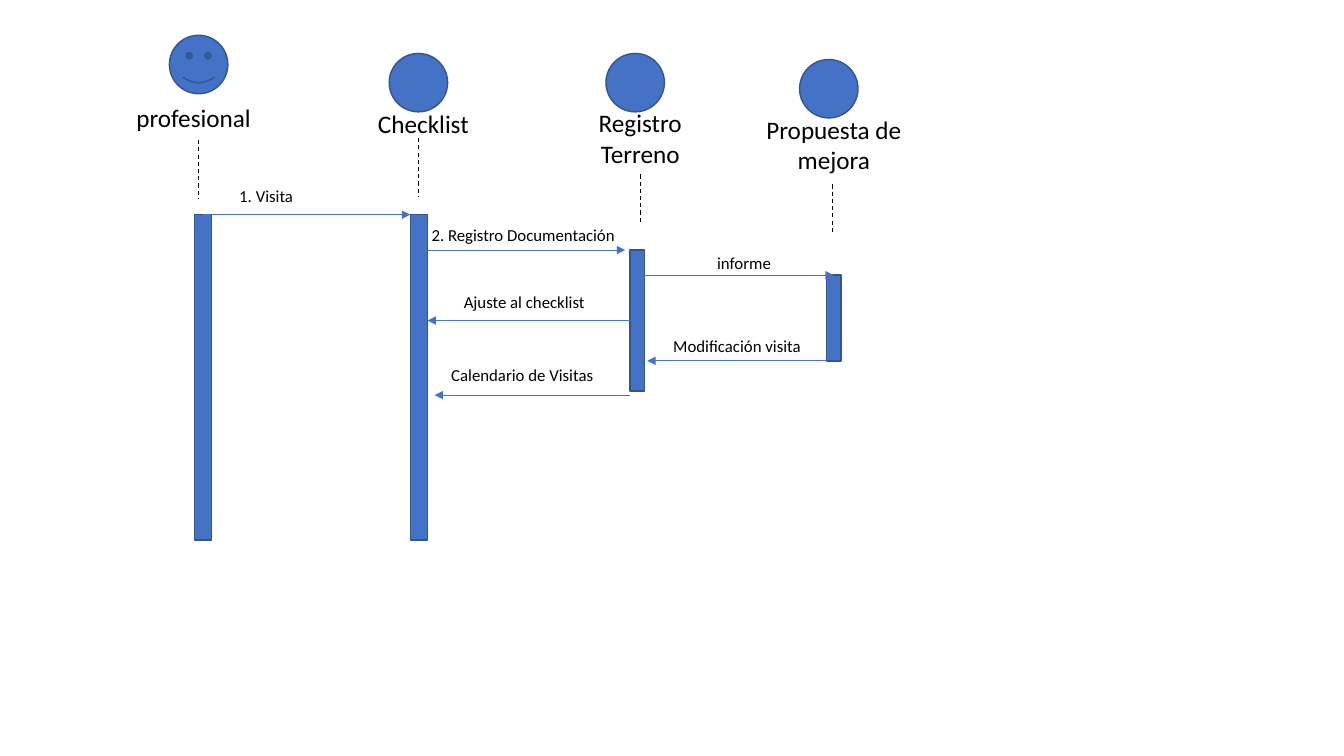
import pptx
import pptx.util
import pptx.dml.color
import pptx.enum.dml
import pptx.enum.shapes
import pptx.enum.text
import pptx.oxml.ns
from dataclasses import dataclass
from lxml import etree

Inches = pptx.util.Inches
SHAPE = pptx.enum.shapes.MSO_SHAPE
TOP, LEFT = 0, 1  # connection sites of a rectangle


@dataclass(frozen=True)
class Theme:
    font: str = "Calibri"
    fill: str = "4472C4"
    outline: str = "325491"
    ink: str = "000000"
    name_size: float = 18
    message_size: float = 12
    outline_width: float = 1
    lifeline_width: float = 0.75
    message_width: float = 0.5


class SequenceDiagram:
    def __init__(self, slide, theme):
        self.shapes = slide.shapes
        self.theme = theme

    def color(self, value):
        return pptx.dml.color.RGBColor.from_string(value)

    def figure(self, kind, left, top, width, height):
        figure = self.shapes.add_shape(kind, *map(Inches, (left, top, width, height)))
        figure.shadow.inherit = False
        figure.fill.solid()
        figure.fill.fore_color.rgb = self.color(self.theme.fill)
        figure.line.color.rgb = self.color(self.theme.outline)
        figure.line.width = pptx.util.Pt(self.theme.outline_width)
        return figure

    def label(self, text, left, top, width, height, size):
        box = self.shapes.add_textbox(*map(Inches, (left, top, width, height)))
        frame = box.text_frame
        frame.word_wrap = True
        frame.auto_size = pptx.enum.text.MSO_AUTO_SIZE.SHAPE_TO_FIT_TEXT
        paragraph = frame.paragraphs[0]
        paragraph.alignment = pptx.enum.text.PP_ALIGN.CENTER
        run = paragraph.add_run()
        run.text = text
        run.font.name = self.theme.font
        run.font.size = pptx.util.Pt(size)
        run.font.color.rgb = self.color(self.theme.ink)

    def line(self, start, end, color, width):
        line = self.shapes.add_connector(
            pptx.enum.shapes.MSO_CONNECTOR.STRAIGHT, *map(Inches, (*start, *end)))
        line.line.color.rgb = self.color(color)
        line.line.width = pptx.util.Pt(width)
        etree.SubElement(line._element.spPr, pptx.oxml.ns.qn("a:effectLst"))
        return line

    def lifeline(self, x, top, bottom):
        line = self.line((x, top), (x, bottom), self.theme.ink, self.theme.lifeline_width)
        line.line.dash_style = pptx.enum.dml.MSO_LINE.DASH

    def message(self, start_x, end_x, y, source=None, target=None):
        arrow = self.line((start_x, y), (end_x, y), self.theme.fill, self.theme.message_width)
        etree.SubElement(arrow.line._get_or_add_ln(),
                         pptx.oxml.ns.qn("a:tailEnd"), type="triangle")
        if source:
            arrow.begin_connect(*source)
        if target:
            arrow.end_connect(*target)


def main():
    deck = pptx.Presentation()
    deck.slide_width, deck.slide_height = Inches(13.33), Inches(7.5)
    theme = Theme()
    diagram = SequenceDiagram(deck.slides.add_slide(deck.slide_layouts[6]), theme)

    # Activation bars
    bar_places = {
        "profesional": (1.93, 2.13, 0.17, 3.23),
        "checklist": (4.07, 2.13, 0.17, 3.23),
        "registro": (6.25, 2.48, 0.14, 1.4),
        "propuesta": (8.2, 2.73, 0.14, 0.85),
    }
    bars = {who: diagram.figure(SHAPE.RECTANGLE, *place)
            for who, place in bar_places.items()}

    # Participants: head, name, dashed lifeline
    head_size, name_width = 0.58, 1.58
    participants = [
        ("profesional", SHAPE.SMILEY_FACE, (1.68, 0.35), (1.13, 0.97), 0.4, (1.97, 1.39, 1.97)),
        ("Checklist", SHAPE.OVAL, (3.86, 0.53), (3.41, 1.03), 0.4, (4.15, 1.37, 1.95)),
        ("Registro Terreno", SHAPE.OVAL, (6.01, 0.53), (5.56, 1.02), 0.71, (6.35, 1.73, 2.22)),
        ("Propuesta de mejora", SHAPE.OVAL, (7.93, 0.59), (7.48, 1.08), 0.71, (8.26, 1.83, 2.32)),
    ]
    for name, head, head_at, name_at, name_height, lifeline in participants:
        diagram.lifeline(*lifeline)
        diagram.figure(head, *head_at, head_size, head_size)
        diagram.label(name, *name_at, name_width, name_height, theme.name_size)

    # Messages: text, label left, top and width, arrow from x to x at y, joined bars
    messages = [
        ("1. Visita", (1.85, 1.79, 1.58), (2.01, 4.07, 2.13), (bars["profesional"], TOP), None),
        ("2. Registro Documentación", (3.99, 2.18, 2.4), (4.2, 6.2, 2.48), None, None),
        ("informe", (6.18, 2.46, 2.4), (6.33, 8.27, 2.73), None, (bars["propuesta"], TOP)),
        ("Modificación visita", (6.42, 3.28, 1.78), (8.2, 6.42, 3.58), None, None),
        ("Ajuste al checklist", (4.31, 2.85, 1.78), (6.25, 4.24, 3.18), (bars["registro"], LEFT), None),
        ("Calendario de Visitas", (4.29, 3.57, 1.78), (6.25, 4.31, 3.92), None, None),
    ]
    for text, label_at, arrow, source, target in messages:
        diagram.message(*arrow, source, target)
        diagram.label(text, *label_at, 0.3, theme.message_size)

    deck.save("out.pptx")


if __name__ == "__main__":
    main()
